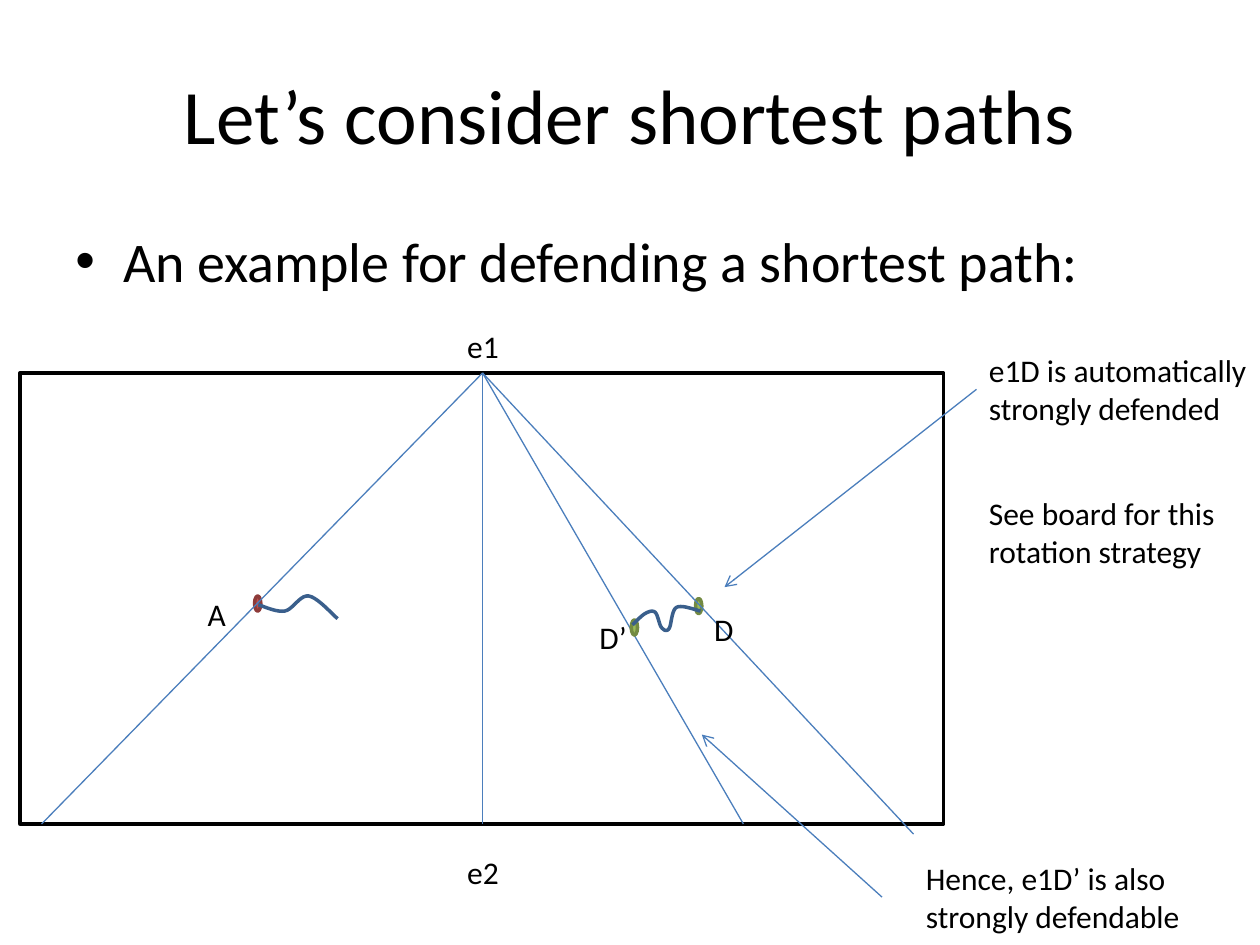
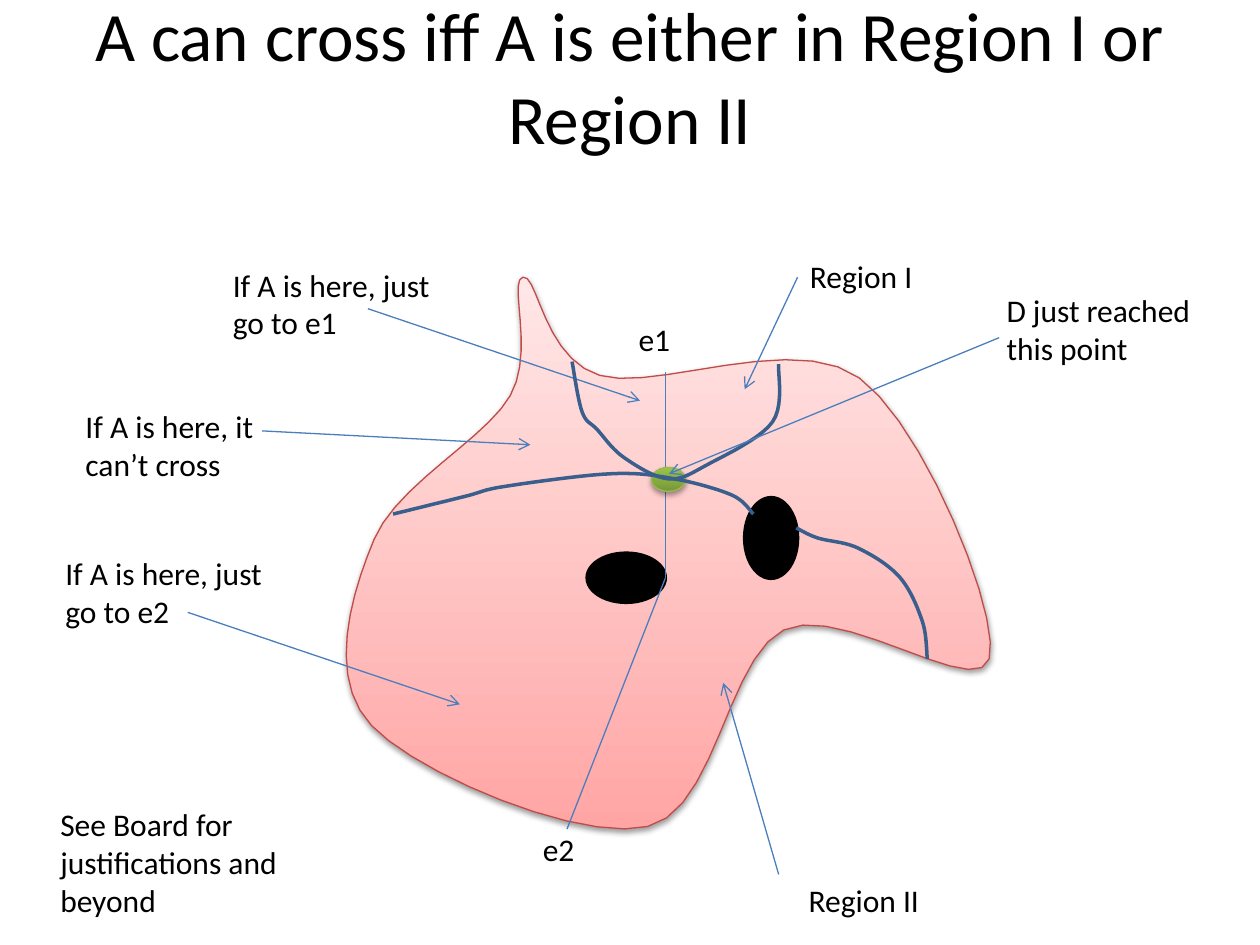
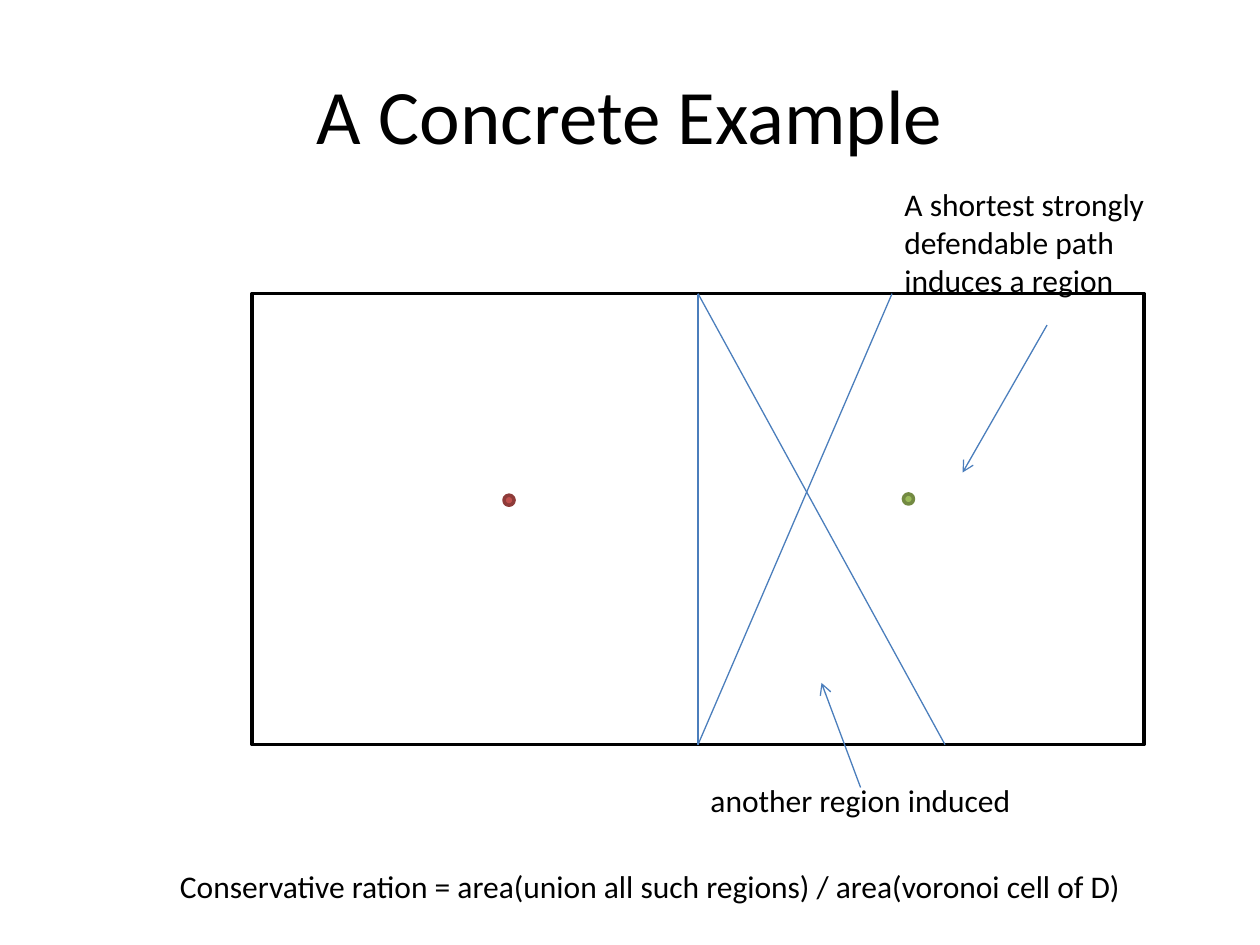
import pptx
import pptx.dml.color
import pptx.enum.dml
import pptx.enum.shapes
import pptx.enum.text
import pptx.oxml
import pptx.oxml.ns
import pptx.util

PX = 9144  # EMU per px, 100 px to the inch
FONT = "Calibri"
BLACK, WHITE = "000000", "FFFFFF"
LINE_BLUE, CURVE_BLUE = "4B7EBC", "3A5F8C"
STEPS = 10  # straight pieces between two knots of a curve
FRAME_HEIGHT = 358

color = pptx.dml.color.RGBColor.from_string
qn = pptx.oxml.ns.qn
nsdecls = pptx.oxml.ns.nsdecls("a")

# Text kinds: size in points, width in px
TEXTS = {
    "title": (44, 900), "long title": (39.6, 900), "bullet": (32, 900),
    "mark": (18, 110), "note": (18, 183), "wide note": (18, 242),
    "caption": (18, 400), "formula": (18, 842),
}

# Shape kinds: fill, edge, edge width; a tuple fill fades from bottom to top
STYLES = {
    "frame": (WHITE, BLACK, 2),
    "hole": (BLACK, BLACK, 2),
    "attacker": ("C0504D", "8E3B39", 2),
    "defender": ("9BBB59", "738A42", 2),
    "glossy defender": (("779737", "9BC348"), "98B955", 0.75),
    "region": (("FFA6A5", "FFE7E7"), "BF4C48", 0.75),
    "curve": (None, CURVE_BLUE, 2),
}


def smooth_points(knots, closed):
    """Points of a Catmull-Rom curve through the knots, in EMU."""
    if closed:
        guides = [knots[-1], *knots, knots[0], knots[1]]
    else:
        guides = [knots[0], *knots, knots[-1]]
    points = [guides[1]]
    for a, b, c, d in zip(guides, guides[1:], guides[2:], guides[3:]):
        for step in range(1, STEPS + 1):
            t = step / STEPS
            points.append([
                q + t / 2 * (r - p + t * (2 * p - 5 * q + 4 * r - s + t * (3 * (q - r) + s - p)))
                for p, q, r, s in zip(a, b, c, d)
            ])
    return [(round(x * PX), round(y * PX)) for x, y in points]


def style_shape(shape, fill, edge, width):
    """Set outline and fill; a fading fill also brings a soft shadow."""
    shape.shadow.inherit = False
    shape.line.color.rgb = color(edge)
    shape.line.width = pptx.util.Pt(width)
    if fill is None:
        shape.fill.background()
    elif isinstance(fill, str):
        shape.fill.solid()
        shape.fill.fore_color.rgb = color(fill)
    else:
        shape.fill.gradient()
        shape.fill.gradient_angle = 90
        for position, (stop, shade) in enumerate(zip(shape.fill.gradient_stops, fill)):
            stop.color.rgb = color(shade)
            stop.position = position
        shape._element.spPr.find(qn("a:effectLst")).append(pptx.oxml.parse_xml(
            f'<a:outerShdw {nsdecls} blurRad="40000" dist="20000" dir="5400000" '
            'rotWithShape="0"><a:srgbClr val="000000"><a:alpha val="38000"/>'
            '</a:srgbClr></a:outerShdw>'))


# Slide 1: rays fan out from the middle of the frame's top edge
left, top, width = 16, 296, 733
bottom, apex = top + FRAME_HEIGHT, left + width // 2 + 1
shortest_paths = [
    ("title", (50, 30), "Let’s consider shortest paths"),
    ("bullet", (50, 175), "An example for defending a shortest path:"),
    ("mark", (361, 255), "e1"),
    ("frame", (left, top, width, FRAME_HEIGHT)),
    ("defender", (552, 475, 5, 12)),
    ("attacker", (202, 473, 5, 12)),
    *[("line", (apex, top, x, bottom)) for x in (apex, 33, 590)],
    ("line", (apex, top, 725, 662)),
    ("mark", (155, 467), "A"),
    ("mark", (557, 479), "D"),
    ("mark", (361, 672), "e2"),
    ("wide note", (775, 274), "e1D is automatically strongly defended"),
    ("arrow", (775, 309, 575, 466)),
    ("curve", [(205, 480), (226, 485), (245, 473), (268, 491)]),
    ("defender", (501, 492, 5, 12)),
    ("mark", (466, 486), "D’"),
    ("wide note", (775, 387), "See board for this rotation strategy"),
    ("arrow", (700, 712, 557, 583)),
    ("wide note", (725, 677), "Hence, e1D’ is also strongly defendable"),
    ("curve", [(556, 485), (537, 482), (531, 499), (525, 498), (520, 486),
               (512, 487), (502, 496)]),
]

# Slide 2: a region with two holes, cut by the walks around the defender
crossing_regions = [
    ("long title", (50, 0), "A can cross iff A is either in Region I or Region II"),
    ("region", [(405, 314), (297, 428), (295, 576), (514, 656), (622, 500),
                (785, 523), (682, 300), (476, 298), (415, 220)]),
    ("hole", (466, 439, 62, 39)),
    ("hole", (591, 395, 42, 64)),
    ("line", (450, 658, 528, 459)),
    ("line", (528, 459, 528, 295)),
    ("mark", (421, 654), "e2"),
    ("mark", (497, 249), "e1"),
    ("note", (789, 226), "D just reached this point"),
    ("arrow", (292, 245, 508, 318)),
    ("note", (175, 206), "If A is here, just go to e1"),
    ("glossy defender", (517, 371, 27, 19)),
    ("arrow", (633, 220, 591, 309)),
    ("curve", [(454, 287), (462, 327), (474, 341), (495, 363), (530, 380),
               (561, 369), (613, 335), (618, 289)]),
    ("mark", (633, 199), "Region I"),
    ("curve", [(312, 408), (369, 394), (401, 386), (485, 376), (535, 380),
               (581, 393), (598, 408)]),
    ("curve", [(632, 419), (649, 427), (681, 435), (714, 458), (732, 493), (736, 523)]),
    ("arrow", (618, 694, 574, 542)),
    ("mark", (632, 694), "Region II"),
    ("note", (42, 435), "If A is here, just go to e2"),
    ("arrow", (149, 486, 365, 559)),
    ("note", (58, 318), "If A is here, it can’t cross"),
    ("arrow", (208, 342, 421, 353)),
    ("arrow", (793, 268, 531, 376)),
    ("wide note", (38, 634), "See Board for justifications and beyond"),
]

# Slide 3: paths start at both ends of the frame's middle line
left, top, width = 200, 233, 708
bottom, middle = top + FRAME_HEIGHT, left + width // 2
concrete_example = [
    ("title", (50, 30), "A Concrete Example"),
    ("frame", (left, top, width, FRAME_HEIGHT)),
    ("defender", (717, 392, 8, 8)),
    ("attacker", (400, 393, 8, 8)),
    *[("line", (middle, top, x, bottom)) for x in (middle, 750)],
    ("line", (middle, bottom, 708, top)),
    ("arrow", (831, 258, 764, 375)),
    ("wide note", (708, 142), "A shortest strongly defendable path induces a region"),
    ("arrow", (683, 625, 652, 542)),
    ("caption", (middle, 615), "another region induced"),
    ("formula", (133, 683),
     "Conservative ration = area(union all such regions) / area(voronoi cell of D)"),
]

presentation = pptx.Presentation()
presentation.slide_width = 1000 * PX
presentation.slide_height = 750 * PX

for items in (shortest_paths, crossing_regions, concrete_example):
    slide = presentation.slides.add_slide(presentation.slide_layouts[6])
    for kind, place, *words in items:
        # Titles, bullet and labels
        if kind in TEXTS:
            size, text_width = TEXTS[kind]
            height = 120 if kind.endswith("title") else 40
            box = slide.shapes.add_textbox(
                *(value * PX for value in (*place, text_width, height)))
            frame = box.text_frame
            frame.word_wrap = True
            frame.text = words[0]
            paragraph = frame.paragraphs[0]
            if kind.endswith("title"):
                frame.vertical_anchor = pptx.enum.text.MSO_ANCHOR.MIDDLE
                paragraph.alignment = pptx.enum.text.PP_ALIGN.CENTER
            else:
                frame.auto_size = pptx.enum.text.MSO_AUTO_SIZE.SHAPE_TO_FIT_TEXT
            if kind == "bullet":
                properties = paragraph._element.get_or_add_pPr()
                properties.set("marL", str(38 * PX))
                properties.set("indent", str(-38 * PX))
                for mark in ('buFont {} typeface="Arial"', 'buChar {} char="•"'):
                    properties.append(pptx.oxml.parse_xml(f"<a:{mark.format(nsdecls)}/>"))
            paragraph.font.name = FONT
            paragraph.font.size = pptx.util.Pt(size)
            paragraph.font.color.rgb = color(BLACK)

        # Straight lines and arrows
        elif kind in ("line", "arrow"):
            connector = slide.shapes.add_connector(
                pptx.enum.shapes.MSO_CONNECTOR.STRAIGHT, *(value * PX for value in place))
            connector.line.color.rgb = color(LINE_BLUE)
            connector.line.width = pptx.util.Pt(0.75)
            properties = connector._element.spPr
            if kind == "arrow":
                properties.find(qn("a:ln")).append(
                    pptx.oxml.parse_xml(f'<a:tailEnd {nsdecls} type="arrow"/>'))
            properties.append(pptx.oxml.parse_xml(f"<a:effectLst {nsdecls}/>"))

        # Curved walks and the closed region
        elif kind in ("curve", "region"):
            closed = kind == "region"
            start, *rest = smooth_points(place, closed)
            builder = slide.shapes.build_freeform(*start)
            builder.add_line_segments(rest, close=closed)
            style_shape(builder.convert_to_shape(), *STYLES[kind])

        # Frames, holes and players
        else:
            presets = pptx.enum.shapes.MSO_SHAPE
            preset = presets.RECTANGLE if kind == "frame" else presets.OVAL
            shape = slide.shapes.add_shape(preset, *(value * PX for value in place))
            style_shape(shape, *STYLES[kind])

presentation.save("out.pptx")
